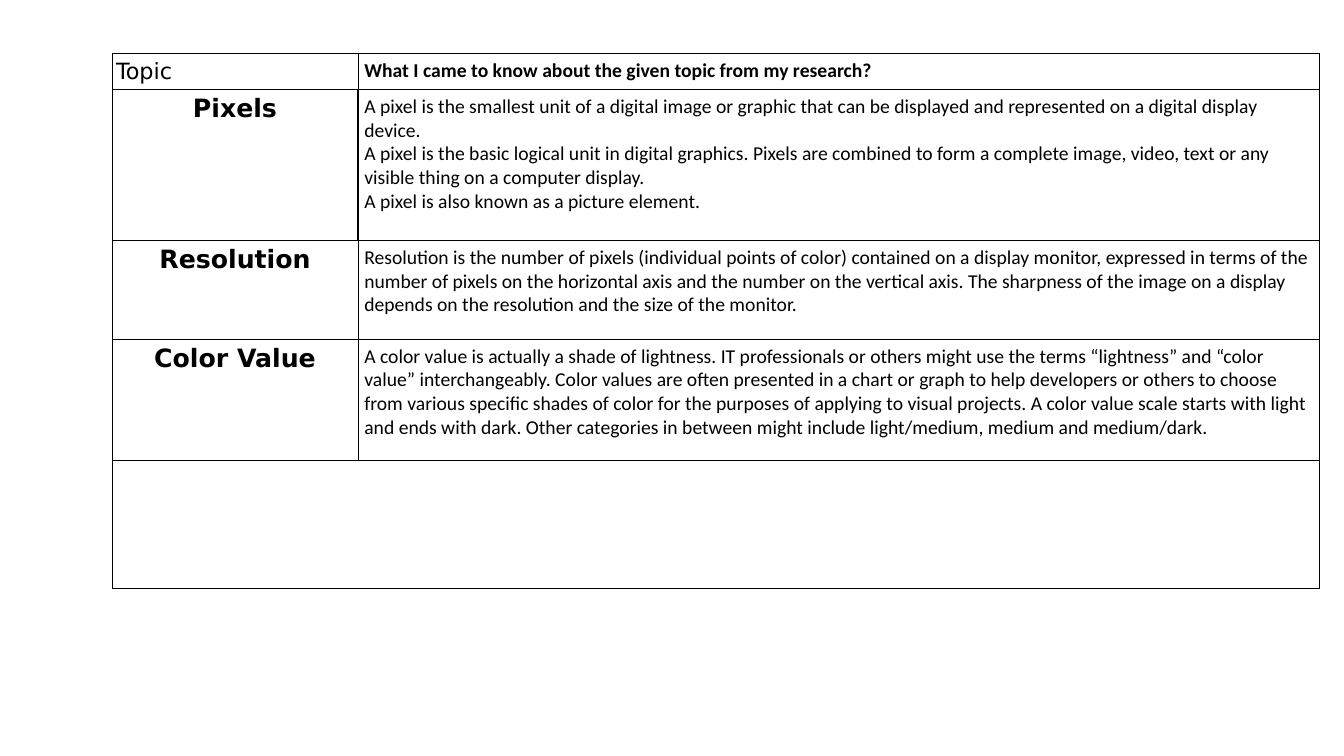
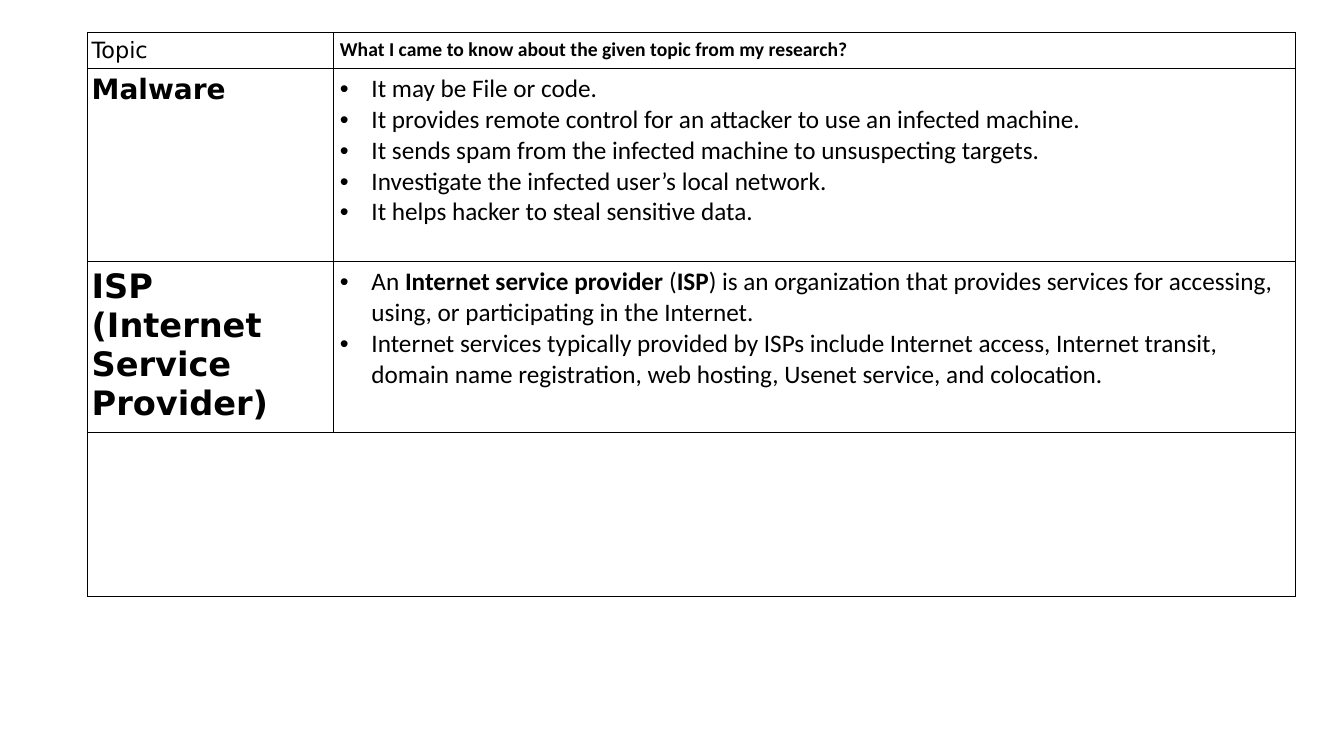
from dataclasses import dataclass

from lxml import etree
from pptx import Presentation, util as u
from pptx.dml.color import RGBColor
from pptx.enum import text
from pptx.oxml import ns


@dataclass(frozen=True)
class Theme:
    ink: str = "000000"
    head: str = "DejaVu Sans"
    body: str = "Calibri"
    label: int = 16
    note: int = 14
    point: int = 18
    hair: float = 0.79
    rule: float = 0.96
    hang: float = 22.5


LOOK = Theme()
COLS = (175.8, 687)
PADS = (
    dict(margin_left=2.9, margin_right=2.9, margin_top=3.6, margin_bottom=3.6),
    dict(margin_left=4.5, margin_right=4.5, margin_top=3.6, margin_bottom=3.6),
)
HEAD = ("Topic", "What I came to know about the given topic from my research?")

PIXELS = [
    "A pixel is the smallest unit of a digital image or graphic that can be displayed and represented on a digital display device.",
    "A pixel is the basic logical unit in digital graphics. Pixels are combined to form a complete image, video, text or any visible thing on a computer display.",
    "A pixel is also known as a picture element.",
]
SHARP = [
    "Resolution is the number of pixels (individual points of color) contained on a display monitor, expressed in terms of the number of pixels on the horizontal axis and the number on the vertical axis. The sharpness of the image on a display depends on the resolution and the size of the monitor.",
]
SHADE = [
    "A color value is actually a shade of lightness. IT professionals or others might use the terms “lightness” and “color value” interchangeably. Color values are often presented in a chart or graph to help developers or others to choose from various specific shades of color for the purposes of applying to visual projects. A color value scale starts with light and ends with dark. Other categories in between might include light/medium, medium and medium/dark.",
]
MALWARE = [
    "It may be File or code.",
    "It provides remote control for an attacker to use an infected machine.",
    "It sends spam from the infected machine to unsuspecting targets.",
    "Investigate the infected user’s local network.",
    "It helps hacker to steal sensitive data.",
]
ISP = [
    "An **Internet service provider** (**ISP**) is an organization that provides services for accessing, using, or participating in the Internet.",
    "Internet services typically provided by ISPs include Internet access, Internet transit, domain name registration, web hosting, Usenet service, and colocation.",
]

SLIDES = (
    dict(
        spot=(80, 38.2),
        rows=(25.7, 107.9, 70.6, 86.4, 91.4),
        topics=(("Pixels", 18, PIXELS), ("Resolution", 18, SHARP), ("Color Value", 18, SHADE)),
        size=LOOK.note,
        align=text.PP_ALIGN.CENTER,
        dots=False,
    ),
    dict(
        spot=(62.6, 23.4),
        rows=(25.7, 137.9, 122.2, 117),
        topics=(("Malware", 20, MALWARE), ("ISP (Internet Service Provider)", 24, ISP)),
        size=LOOK.point,
        align=text.PP_ALIGN.LEFT,
        dots=True,
    ),
)


def apply(item, values):
    for key, value in values.items():
        setattr(item, key, value)


def bullet(para):
    props = para._p.get_or_add_pPr()
    props.set("marL", str(u.Pt(LOOK.hang)))
    props.set("indent", str(-u.Pt(LOOK.hang)))
    tint = etree.SubElement(props, ns.qn("a:buClr"))
    etree.SubElement(tint, ns.qn("a:srgbClr"), val=LOOK.ink)
    etree.SubElement(props, ns.qn("a:buFont"), typeface="Arial")
    etree.SubElement(props, ns.qn("a:buChar"), char="•")


def write(cell, lines, face, size, bold=False, align=text.PP_ALIGN.LEFT, dots=False):
    frame = cell.text_frame
    for i, line in enumerate(lines):
        para = frame.add_paragraph() if i else frame.paragraphs[0]
        para.alignment = align
        if dots:
            bullet(para)
        for j, part in enumerate(line.split("**")):
            run = para.add_run()
            run.text = part
            apply(run.font, dict(name=face, size=u.Pt(size), bold=bold or j % 2 == 1))
            run.font.color.rgb = RGBColor.from_string(LOOK.ink)


def border(cell, widths):
    props = cell._tc.get_or_add_tcPr()
    for i, (side, width) in enumerate(widths.items()):
        line = etree.Element(ns.qn(f"a:ln{side}"), w=str(u.Pt(width)))
        fill = etree.SubElement(line, ns.qn("a:solidFill"))
        etree.SubElement(fill, ns.qn("a:srgbClr"), val=LOOK.ink)
        props.insert(i, line)


def style(grid):
    for r, row in enumerate(grid.rows):
        for c, cell in enumerate(row.cells):
            apply(cell, {key: u.Pt(pad) for key, pad in PADS[c].items()})
            cell.fill.background()
            sides = dict.fromkeys("LRTB", LOOK.hair)
            if r == 1:
                sides["B"] = sides["RL"[c]] = LOOK.rule
            if r == 2:
                sides["T"] = LOOK.rule
            border(cell, sides)


def sheet(slide, spot, rows, topics, size, align, dots):
    box = [u.Pt(n) for n in (*spot, sum(COLS), sum(rows))]
    grid = slide.shapes.add_table(len(rows), len(COLS), *box).table
    apply(grid, dict(first_row=False, horz_banding=False))
    for col, width in zip(grid.columns, COLS):
        col.width = u.Pt(width)
    for row, height in zip(grid.rows, rows):
        row.height = u.Pt(height)
    style(grid)
    write(grid.cell(0, 0), HEAD[:1], LOOK.head, LOOK.label)
    write(grid.cell(0, 1), HEAD[1:], LOOK.body, LOOK.note, bold=True)
    for r, (name, scale, lines) in enumerate(topics, 1):
        write(grid.cell(r, 0), [name], LOOK.head, scale, bold=True, align=align)
        write(grid.cell(r, 1), lines, LOOK.body, size, dots=dots)
    last = len(rows) - 1
    grid.cell(last, 0).merge(grid.cell(last, 1))


def main():
    deck = Presentation()
    apply(deck, dict(slide_width=u.Pt(960), slide_height=u.Pt(540)))
    for plan in SLIDES:
        sheet(deck.slides.add_slide(deck.slide_layouts[6]), **plan)
    deck.save("out.pptx")


if __name__ == "__main__":
    main()
